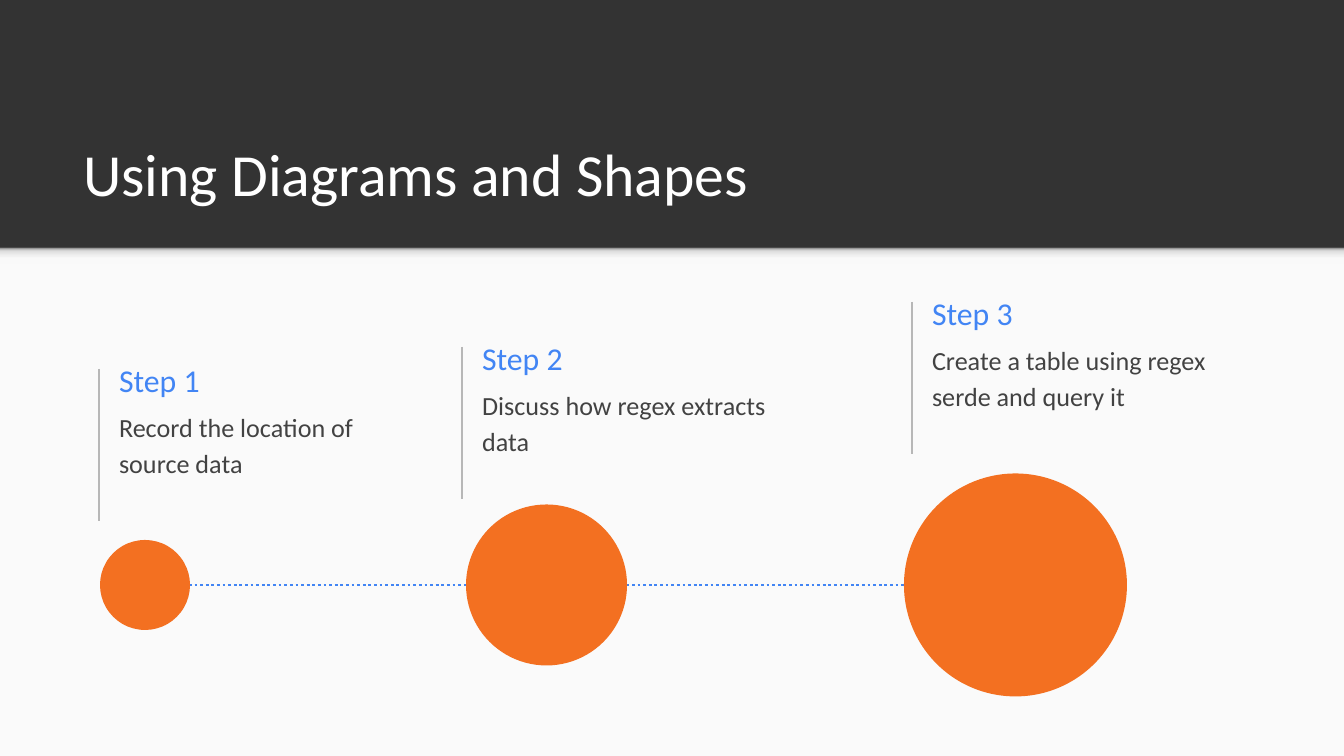
"""Build the slide with three steps above a row of growing circles."""
from lxml import etree
from pptx import Presentation
from pptx.dml.color import RGBColor
from pptx.enum.dml import MSO_LINE
from pptx.enum.shapes import MSO_CONNECTOR, MSO_SHAPE
from pptx.enum.text import MSO_ANCHOR, MSO_AUTO_SIZE, PP_ALIGN
from pptx.oxml.ns import qn
from pptx.util import Pt

PX = 9144000 / 1344
DOT = MSO_LINE.ROUND_DOT
LINE = MSO_CONNECTOR.STRAIGHT
OVAL, RECT = MSO_SHAPE.OVAL, MSO_SHAPE.RECTANGLE
TOP, MID, LOW = MSO_ANCHOR.TOP, MSO_ANCHOR.MIDDLE, MSO_ANCHOR.BOTTOM
LEFT, NONE = PP_ALIGN.LEFT, MSO_AUTO_SIZE.NONE

DARK = RGBColor(0x33, 0x33, 0x33)
PALE = RGBColor(0xFA, 0xFA, 0xFA)
WHITE = RGBColor(0xFF, 0xFF, 0xFF)
BLUE = RGBColor(0x42, 0x85, 0xF4)
GRAY = RGBColor(0x42, 0x42, 0x42)
RULE = RGBColor(0xB7, 0xB7, 0xB7)
ORANGE = RGBColor(0xF3, 0x70, 0x21)
LIGHT = RGBColor(0xF9, 0xF9, 0xF9)
SOFT = RGBColor(0xDE, 0xDE, 0xDE)
SHADE = RGBColor(0x99, 0x99, 0x99)

deck = Presentation()
deck.slide_width, deck.slide_height = round(1344 * PX), round(756 * PX)
slide = deck.slides.add_slide(deck.slide_layouts[5])
slide.background.fill.solid()
slide.background.fill.fore_color.rgb = DARK
shapes = slide.shapes


def write(text, box, size, color, anchor=TOP, space=None, after=0, shape=None):
    """Write one paragraph into a placeholder or a new text box."""
    spot = [round(n * PX) for n in box]
    shape = shape or shapes.add_textbox(*spot)
    shape.left, shape.top, shape.width, shape.height = spot
    frame = shape.text_frame
    frame.text = text
    frame.word_wrap, frame.auto_size = True, NONE
    frame.vertical_anchor = anchor
    frame.margin_left = frame.margin_right = round(13 * PX)
    frame.margin_top = frame.margin_bottom = round(13 * PX)
    para = frame.paragraphs[0]
    para.alignment, para.line_spacing = LEFT, space
    para.space_after = Pt(after)
    font = para.runs[0].font
    font.name, font.size, font.color.rgb = "Calibri", Pt(size), color


def draw(kind, box, color, width=None, dash=None):
    """Draw a filled shape, or a line when a width is given."""
    spot = [round(n * PX) for n in box]
    if width:
        item = shapes.add_connector(kind, *spot)
        item.line.color.rgb, item.line.width = color, Pt(width)
        item.line.dash_style = dash
        etree.SubElement(item._element.spPr, qn("a:effectLst"))
    else:
        item = shapes.add_shape(kind, *spot)
        item.shadow.inherit = False
        item.fill.solid()
        item.fill.fore_color.rgb = color
        item.line.fill.background()
    return item


draw(RECT, (0, 248, 1344, 508), PALE)
band = draw(RECT, (0, 248, 1344, 16), LIGHT)
band.fill.gradient()
band.fill.gradient_angle = 90
stops = band._element.spPr.find(".//" + qn("a:gsLst"))
stops.clear()
for pos, color in ((0, LIGHT), (36, LIGHT), (80, SOFT), (100, SHADE)):
    stop = etree.SubElement(stops, qn("a:gs"), pos=str(pos * 1000))
    etree.SubElement(stop, qn("a:srgbClr"), val=str(color))

write("Using Diagrams and Shapes", (70, 109, 1208, 113), 32, WHITE,
      anchor=LOW, shape=shapes.title)

steps = (
    (99, 369, 308, "Record the location of source data"),
    (462, 347, 359, "Discuss how regex extracts data"),
    (912, 302, 359, "Create a table using regex serde and query it"),
)
for num, (x, y, wide, text) in enumerate(steps, 1):
    draw(LINE, (x, y, x, y + 152), RULE, width=0.75)
    write(f"Step {num}", (x + 7, y - 18, 266, 58), 17, BLUE, anchor=MID)
    write(text, (x + 7, y + 25, wide, 85), 14, GRAY, space=1.15, after=16)

axis = 585
draw(LINE, (189, axis, 904, axis), BLUE, width=1.5, dash=DOT)
for x, size in ((100, 90), (466, 161), (904, 223)):
    draw(OVAL, (x, axis - size / 2, size, size), ORANGE)

deck.save("out.pptx")
